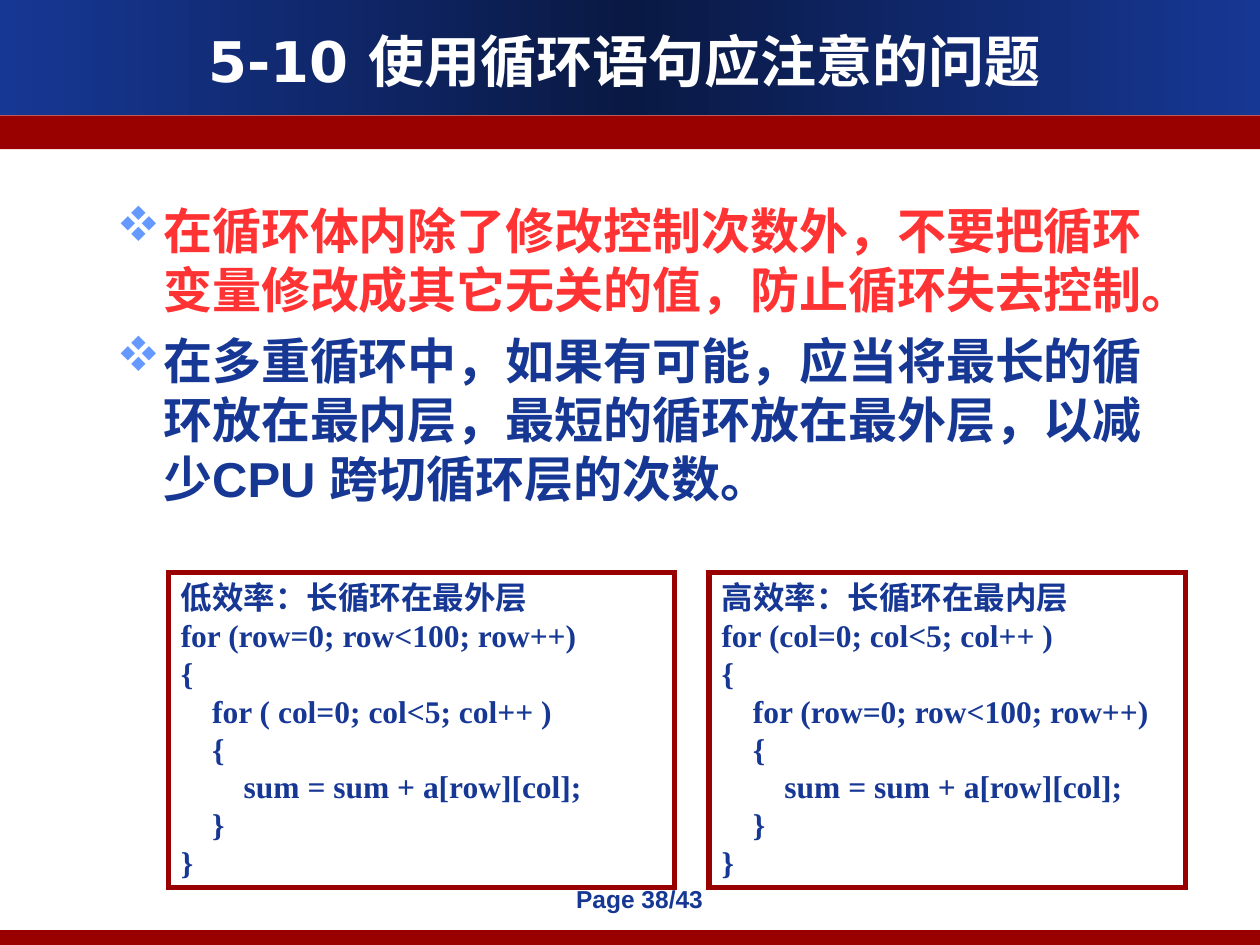
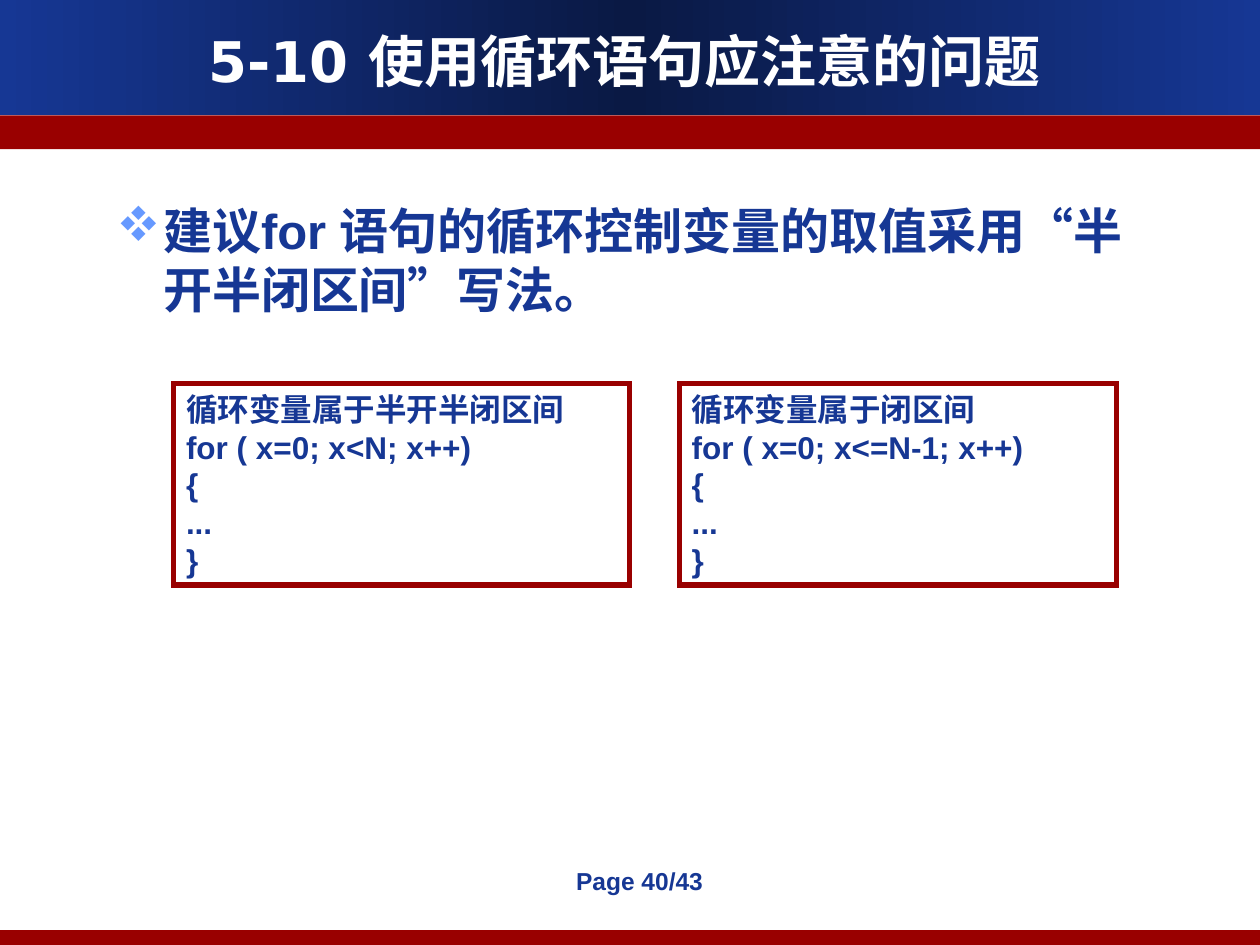
from copy import deepcopy
from lxml import etree
from pptx import Presentation
from pptx.dml import color
from pptx.enum import shapes, text
from pptx.oxml import ns
from pptx.util import Pt

NAVY, DARK, RED = "163794", "0A1944", "990000"
WHITE, ALERT, SKY = "FFFFFF", "FF3333", "6699FF"
WIDE, HIGH = 720, 540
TITLE = "5-10 使用循环语句应注意的问题"


def tint(code):
    return color.RGBColor.from_string(code)


def place(box):
    return [Pt(v) for v in box]


def add_bullet(para, indent=26.6):
    props = para._p.get_or_add_pPr()
    props.set("marL", str(Pt(indent)))
    props.set("indent", str(-Pt(indent)))
    hue = etree.SubElement(props, ns.qn("a:buClr"))
    etree.SubElement(hue, ns.qn("a:srgbClr"), val=SKY)
    etree.SubElement(props, ns.qn("a:buFont"), typeface="Wingdings", charset="2")
    etree.SubElement(props, ns.qn("a:buChar"), char="v")


def write(frame, lines, size=18, face="Arial", hues=(NAVY,), align="LEFT",
          anchor="TOP", inset=(7.2, 3.6), gap=0, bullet=False, grow=False):
    frame.word_wrap = True
    frame.auto_size = (text.MSO_AUTO_SIZE.SHAPE_TO_FIT_TEXT if grow
                       else text.MSO_AUTO_SIZE.NONE)
    frame.vertical_anchor = getattr(text.MSO_ANCHOR, anchor)
    frame.margin_left = frame.margin_right = Pt(inset[0])
    frame.margin_top = frame.margin_bottom = Pt(inset[1])
    for i, line in enumerate(lines):
        para = frame.add_paragraph() if i else frame.paragraphs[0]
        if bullet:
            add_bullet(para)
        para.alignment = getattr(text.PP_ALIGN, align)
        para.space_before = Pt(gap if i else 0)
        run = para.add_run()
        run.text = line
        run.font.name, run.font.size, run.font.bold = face, Pt(size), True
        run.font.color.rgb = tint(hues[i % len(hues)])


def add_text(slide, box, lines, **style):
    write(slide.shapes.add_textbox(*place(box)).text_frame, lines, **style)


def add_rect(slide, box, fill, line=None):
    rect = slide.shapes.add_shape(shapes.MSO_SHAPE.RECTANGLE, *place(box))
    rect.shadow.inherit = False
    rect.fill.solid()
    rect.fill.fore_color.rgb = tint(fill)
    if line:
        rect.line.color.rgb = tint(line)
        rect.line.width = Pt(3)
        etree.SubElement(rect.line._get_or_add_ln(), ns.qn("a:miter"), lim="800000")
    else:
        rect.line.fill.background()
    return rect


def shade(fill, edge, core):
    fill.gradient()
    fill.gradient_angle = 0
    first = fill._xPr.find(".//" + ns.qn("a:gs"))
    first.addnext(deepcopy(first))
    for stop, hue, spot in zip(fill.gradient_stops, (edge, core, edge), (0, 0.5, 1)):
        stop.color.rgb = tint(hue)
        stop.position = spot


def add_frame(slide):
    head = add_rect(slide, (0, 0, WIDE, 65.5), NAVY)
    shade(head.fill, NAVY, DARK)
    add_rect(slide, (0, 66, WIDE, 19.2), RED)
    add_rect(slide, (0, HIGH - 8.5, WIDE, 9), RED)
    add_text(slide, (24, 11.5, 666, 45.4), [TITLE], size=32, face="DejaVu Sans",
             hues=[WHITE], align="CENTER", anchor="MIDDLE", inset=(0, 0))


def add_codes(slide, box, gap, split, codes, face):
    left, top, width, height = box
    for code, x, w in zip(codes, (left, left + split + gap),
                          (split, width - split - gap)):
        rect = add_rect(slide, (x, top, w, height), WHITE, RED)
        write(rect.text_frame, code.split("\n"), face=face, grow=True)


def add_page(deck, points, hues, codes, box, gap, split, face, page, foot):
    slide = deck.slides.add_slide(deck.slide_layouts[6])
    add_frame(slide)
    add_text(slide, (59.6, 111.2, 612.7, 300), points, size=28, hues=hues,
             gap=7, bullet=True)
    add_codes(slide, box, gap, split, codes, face)
    add_text(slide, (297.5, foot, 136, 41), [f"Page {page}/43"], size=14,
             align="CENTER", grow=True)


def nest(title, outer, inner):
    return f"""{title}
{outer}
{{
    {inner}
    {{
        sum = sum + a[row][col];
    }}
}}"""


def single(title, loop):
    return f"{title}\n{loop}\n{{\n...\n}}"


def main():
    deck = Presentation()
    deck.slide_width, deck.slide_height = Pt(WIDE), Pt(HIGH)
    rows = "for (row=0; row<100; row++)"
    add_page(
        deck,
        ["在循环体内除了修改控制次数外，不要把循环变量修改成其它无关的值，防止循环失去控制。",
         "在多重循环中，如果有可能，应当将最长的循环放在最内层，最短的循环放在最外层，以减少CPU 跨切循环层的次数。"],
        [ALERT, NAVY],
        [nest("低效率：长循环在最外层", rows, "for ( col=0; col<5; col++ )"),
         nest("高效率：长循环在最内层", "for (col=0; col<5; col++ )", rows)],
        box=(96.2, 327, 581.2, 180), gap=19.6, split=289.4,
        face="Times New Roman", page=38, foot=501.7)
    add_page(
        deck,
        ["建议for 语句的循环控制变量的取值采用“半开半闭区间”写法。"],
        [NAVY],
        [single("循环变量属于半开半闭区间", "for ( x=0; x<N; x++)"),
         single("循环变量属于闭区间", "for ( x=0; x<=N-1; x++)")],
        box=(99.2, 219.2, 538.8, 115.2), gap=28.4, split=260.6,
        face="Arial", page=40, foot=491.4)
    deck.save("out.pptx")


if __name__ == "__main__":
    main()
